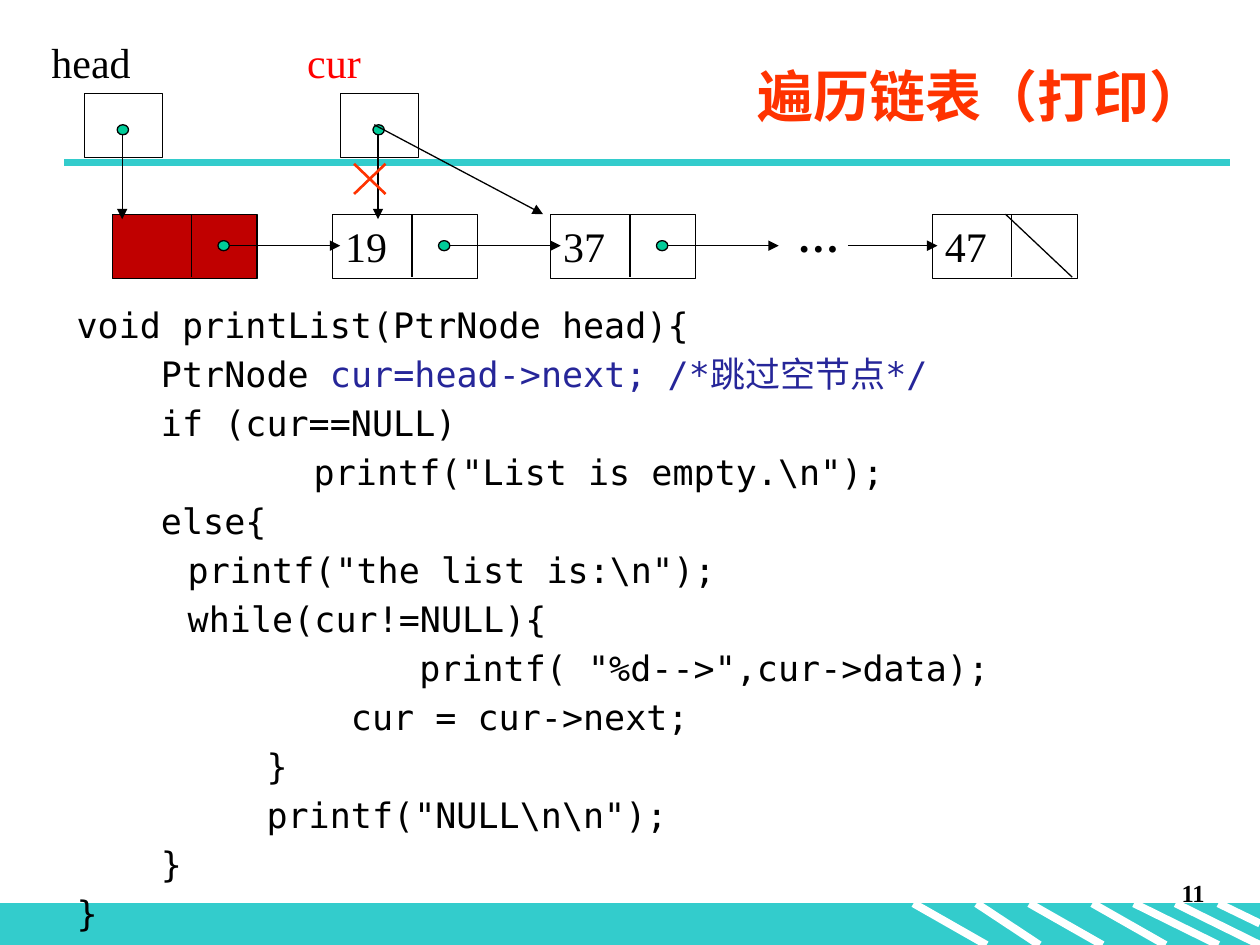
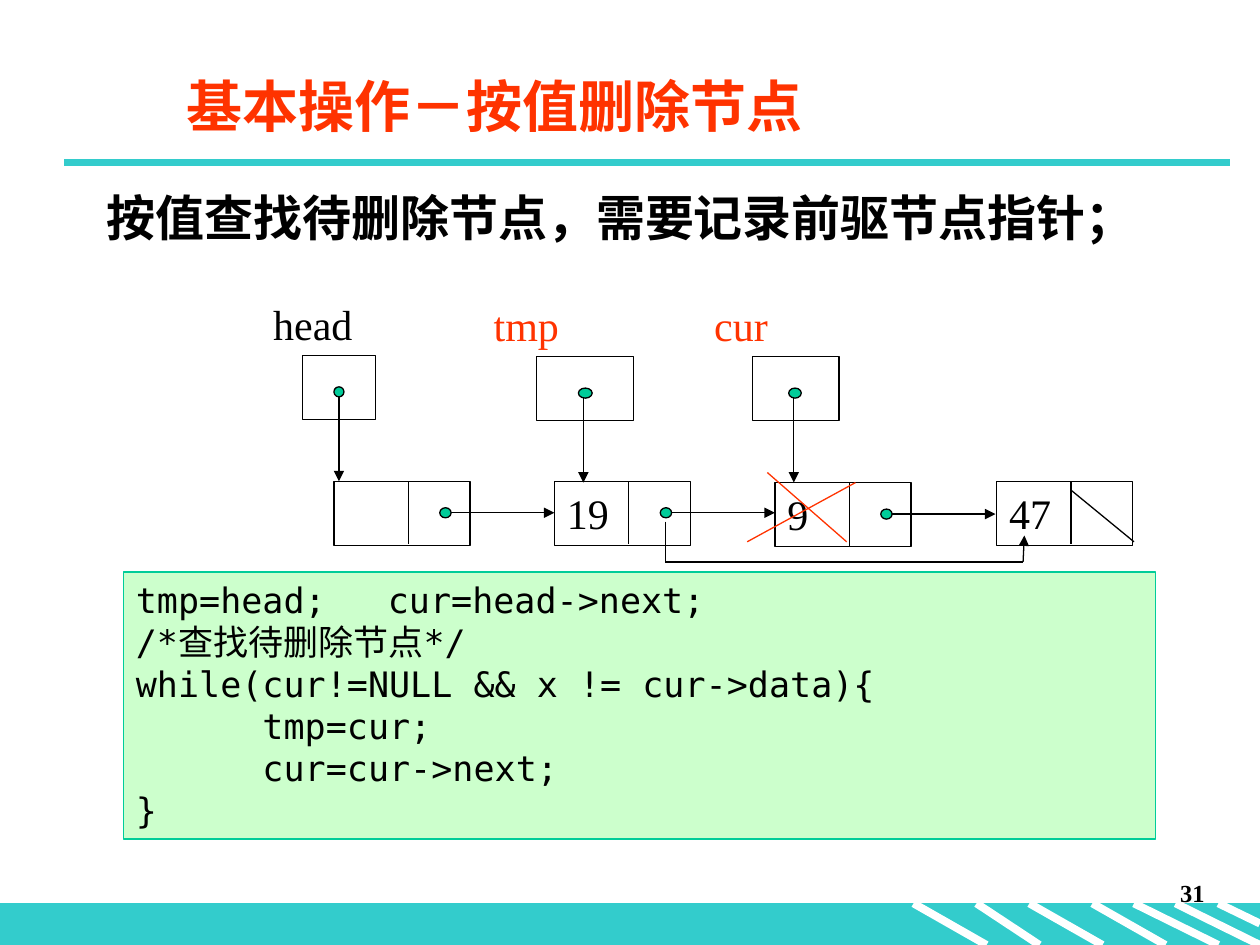
from typing import NamedTuple, Optional, Sequence, Union

from lxml.etree import SubElement
from pptx import Presentation
from pptx.dml.color import RGBColor as Rgb
from pptx.enum.shapes import MSO_CONNECTOR as Conn, MSO_SHAPE as Kind
from pptx.enum.text import MSO_ANCHOR as Anchor, PP_ALIGN as Align
from pptx.oxml.ns import qn
from pptx.util import Pt

SCALE = 9144
INK = {
    "black": "000000", "white": "FFFFFF", "teal": "33CCCC", "green": "00CC99",
    "mint": "CCFFCC", "orange": "FF3300", "red": "FF0000", "dark": "C00000",
    "blue": "262699",
}
SERIF, SANS, MONO, CJK = "Times New Roman", "Arial", "DejaVu Sans Mono", "Noto Sans CJK SC"
STRIPES = [(775, 825), (725, 783), (817, 875), (933, 1000), (900, 967), (867, 925)]


class Run(NamedTuple):
    """A piece of a line in its own colour."""
    text: str
    ink: str


class Box(NamedTuple):
    """A place on the slide in px."""
    x: int
    y: int
    w: int
    h: int


class Line(NamedTuple):
    """A straight line in px."""
    x1: int
    y1: int
    x2: int
    y2: int
    ink: str = "black"
    pt: float = 0.75
    arrow: bool = False


class Node(NamedTuple):
    """A list node, with the length of its outgoing arrow."""
    x: int
    y: int
    w: int
    text: str = ""
    reach: int = 0
    fill: Optional[str] = None


class Ptr(NamedTuple):
    """A named pointer with a down arrow."""
    x: int
    y: int
    w: int
    name: str
    ink: str = "black"


Row = Union[str, Sequence[Run]]

WALK = [
    "void printList(PtrNode head){",
    [Run("    PtrNode ", "black"), Run("cur=head->next; /*跳过空节点*/", "blue")],
    "    if (cur==NULL)",
    "    \t   printf(\"List is empty.\\n\");",
    "    else{",
    "\t   printf(\"the list is:\\n\");",
    "\t   while(cur!=NULL){",
    "   \t        printf( \"%d-->\",cur->data);",
    "             cur = cur->next;",
    "         }",
    "         printf(\"NULL\\n\\n\");",
    "    }",
    "}",
]
FIND = [
    "tmp=head;\tcur=head->next;",
    "/*查找待删除节点*/",
    "while(cur!=NULL && x != cur->data){",
    "      tmp=cur;",
    "      cur=cur->next;",
    "}",
]


def px(num: int) -> int:
    """Turn px into EMU."""
    return num * SCALE


def rgb(ink: str) -> Rgb:
    """Look up a colour."""
    return Rgb.from_string(INK[ink])


def write(shape, rows: Sequence[Row], *, size: int = 24, font: str = SERIF,
          ink: str = "black", bold: bool = False, align=Align.LEFT,
          anchor=Anchor.TOP, gap: int = 0, hang: int = 0) -> None:
    """Fill a shape with formatted lines of text."""
    frame = shape.text_frame
    frame.word_wrap = True
    frame.vertical_anchor = anchor
    for num, row in enumerate(rows):
        para = frame.paragraphs[0] if num == 0 else frame.add_paragraph()
        para.alignment = align
        if num and gap:
            para.space_before = Pt(gap)
        props = para._p.get_or_add_pPr()
        props.set("defTabSz", str(px(100)))
        if hang:
            props.set("marL", str(px(hang)))
            props.set("indent", str(-px(hang)))
        for part in [Run(row, ink)] if isinstance(row, str) else row:
            run = para.add_run()
            run.text = part.text
            run.font.size = Pt(size)
            run.font.bold = bold
            run.font.color.rgb = rgb(part.ink)
            run.font.name = font
            SubElement(run._r.get_or_add_rPr(), qn("a:ea")).set("typeface", CJK)


def label(slide, box: Box, rows: Sequence[Row], **style) -> None:
    """Add a text box."""
    write(slide.shapes.add_textbox(*map(px, box)), rows, **style)


def block(slide, box: Box, fill: Optional[str] = None, edge: str = "black",
          kind=Kind.RECTANGLE):
    """Add an outlined shape."""
    shape = slide.shapes.add_shape(kind, *map(px, box))
    shape.shadow.inherit = False
    if fill:
        shape.fill.solid()
        shape.fill.fore_color.rgb = rgb(fill)
    else:
        shape.fill.background()
    shape.line.color.rgb = rgb(edge)
    shape.line.width = Pt(0.75)
    return shape


def draw(slide, line: Line) -> None:
    """Add a line or an arrow."""
    conn = slide.shapes.add_connector(Conn.STRAIGHT, *map(px, line[:4]))
    conn.line.color.rgb = rgb(line.ink)
    conn.line.width = Pt(line.pt)
    if line.arrow:
        SubElement(conn.get_or_add_ln(), qn("a:tailEnd")).set("type", "triangle")
    SubElement(conn._element.spPr, qn("a:effectLst"))


def dot(slide, x: int, y: int, w: int = 9) -> None:
    """Add the round start of a pointer."""
    block(slide, Box(x, y, w, 8), "green", kind=Kind.OVAL)


def add_node(slide, node: Node) -> None:
    """Add a two-part node and its arrow."""
    x, y, w = node[:3]
    shape = block(slide, Box(x, y, w, 51), node.fill)
    if node.text:
        write(shape, [node.text])
    mid = x + round(w * 0.545)
    draw(slide, Line(mid, y, mid, y + 50))
    if node.reach:
        draw(slide, Line(x + 92, y + 25, x + 92 + node.reach, y + 25, arrow=True))
        dot(slide, x + 84, y + 21)


def add_ptr(slide, ptr: Ptr) -> None:
    """Add a pointer box, its name and its arrow."""
    x, y, w = ptr[:3]
    block(slide, Box(x, y, w, 51))
    label(slide, Box(x - round(w * 0.575), y - 50, 140, 50), [ptr.name], ink=ptr.ink)
    left = x + round(w * 0.425)
    dot(slide, left, y + 25, round(w * 0.145))
    draw(slide, Line(left + 4, y + 33, left + 4, y + 100, arrow=True))


def add_page(deck, num: int):
    """Add a slide with the band, the rule and the page number."""
    slide = deck.slides.add_slide(deck.slide_layouts[6])
    block(slide, Box(0, 717, 1000, 33), "teal", "teal")
    for left, right in STRIPES:
        draw(slide, Line(left, 717, right, 750, "white", 4.5))
    draw(slide, Line(967, 717, 1000, 733, "white", 4.5))
    draw(slide, Line(51, 129, 976, 129, "teal", 4.5))
    label(slide, Box(758, 692, 208, 50), [str(num)], size=14, bold=True,
          align=Align.RIGHT)
    return slide


def add_title(slide, box: Box, text: str, **style) -> None:
    """Add the slide title."""
    label(slide, box, [text], size=32, ink="orange", bold=True, **style)


def add_list(slide, ptrs: Sequence[Ptr], nodes: Sequence[Node],
             lines: Sequence[Line]) -> None:
    """Draw a linked list."""
    for node in nodes:
        add_node(slide, node)
    for ptr in ptrs:
        add_ptr(slide, ptr)
    for line in lines:
        draw(slide, line)


def walk_page(deck) -> None:
    """Build the slide on walking the list."""
    slide = add_page(deck, 11)
    add_title(slide, Box(335, 44, 632, 63), "遍历链表（打印）", font=CJK,
              align=Align.RIGHT)
    label(slide, Box(51, 236, 850, 470), WALK, size=20, font=MONO, gap=4, hang=38)
    label(slide, Box(623, 162, 80, 50), ["…"], bold=True)
    add_list(
        slide,
        [Ptr(67, 74, 62, "head"), Ptr(270, 74, 62, "cur", "red")],
        [Node(89, 170, 115, reach=89, fill="dark"), Node(264, 170, 115, "19", 89),
         Node(437, 170, 115, "37", 89), Node(740, 170, 115, "47")],
        [Line(673, 195, 744, 195, arrow=True),
         Line(798, 170, 851, 220),
         Line(297, 99, 431, 170, arrow=True),
         Line(306, 130, 281, 154, "orange", 1.5),
         Line(281, 130, 306, 154, "orange", 1.5)],
    )


def cut_page(deck) -> None:
    """Build the slide on deleting by value."""
    slide = add_page(deck, 31)
    add_title(slide, Box(138, 44, 850, 79), "基本操作－按值删除节点", font=SANS,
              anchor=Anchor.MIDDLE)
    label(slide, Box(75, 144, 890, 60), ["按值查找待删除节点，需要记录前驱节点指针；"],
          size=28, font=SANS, bold=True, hang=38)
    add_list(
        slide,
        [Ptr(240, 282, 58, "head"), Ptr(426, 283, 77, "tmp", "orange"),
         Ptr(597, 283, 69, "cur", "orange")],
        [Node(265, 382, 108, reach=83), Node(440, 382, 108, "19", 83),
         Node(615, 383, 108, "9", 83), Node(791, 382, 108, "47")],
        [Line(850, 389, 900, 430),
         Line(528, 414, 528, 446),
         Line(528, 446, 812, 446),
         Line(812, 446, 813, 425, arrow=True),
         Line(679, 383, 593, 430, "orange"),
         Line(609, 375, 672, 430, "orange")],
    )
    code = block(slide, Box(98, 454, 819, 212), "mint", "green")
    write(code, FIND, size=20, font=MONO)


def main() -> None:
    """Build and save the deck."""
    deck = Presentation()
    deck.slide_width, deck.slide_height = px(1000), px(750)
    walk_page(deck)
    cut_page(deck)
    deck.save("out.pptx")


if __name__ == "__main__":
    main()
